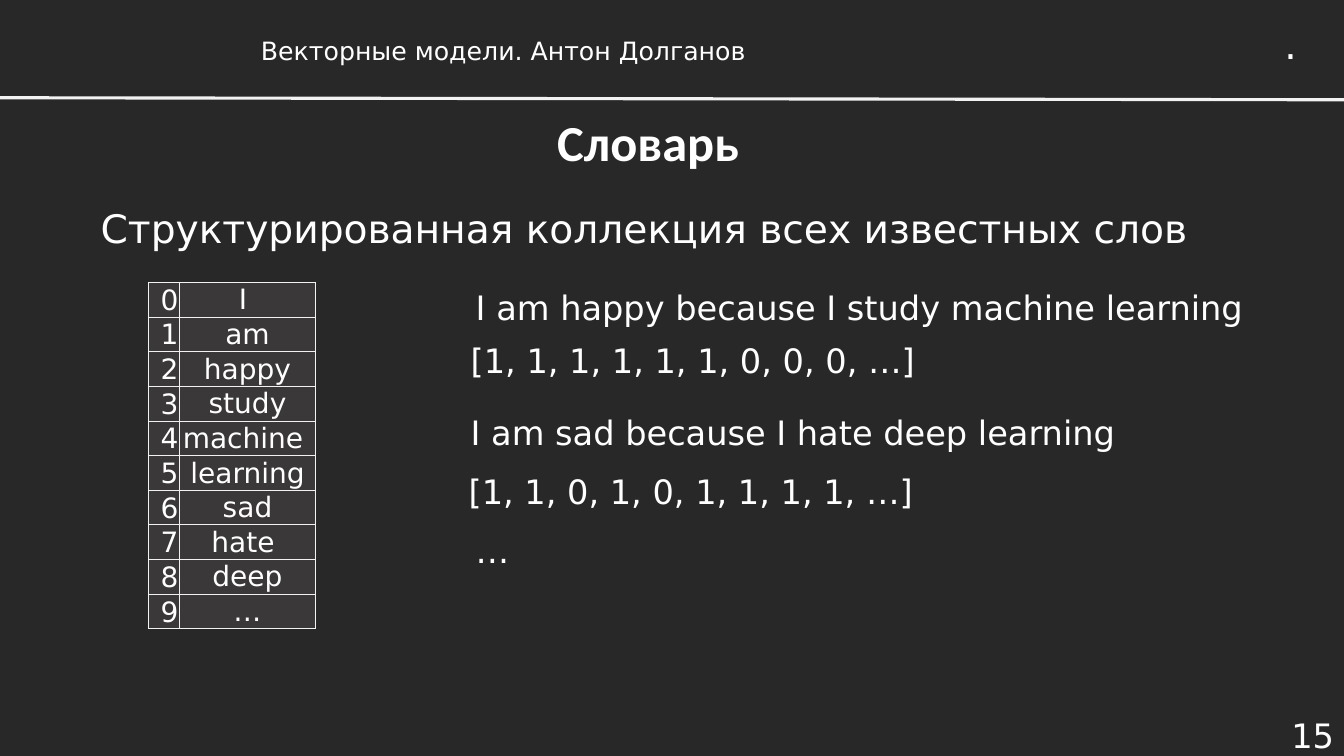
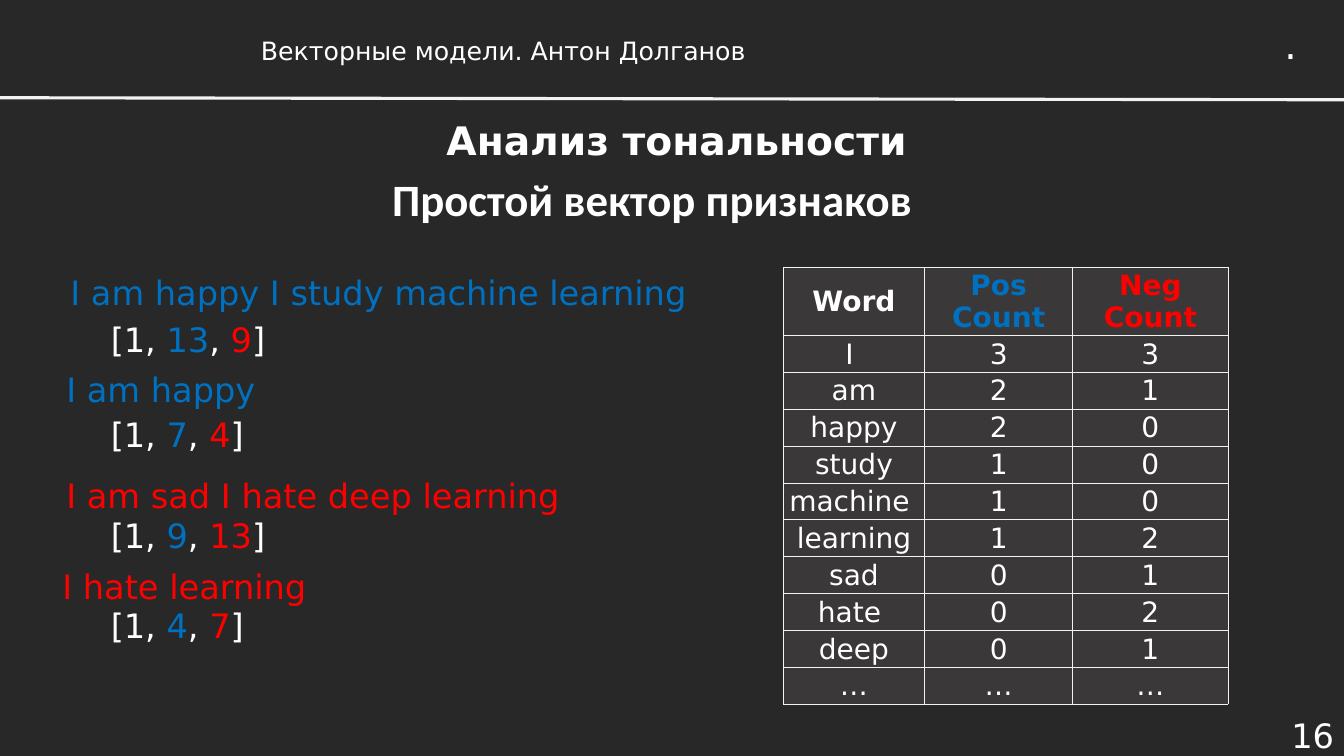
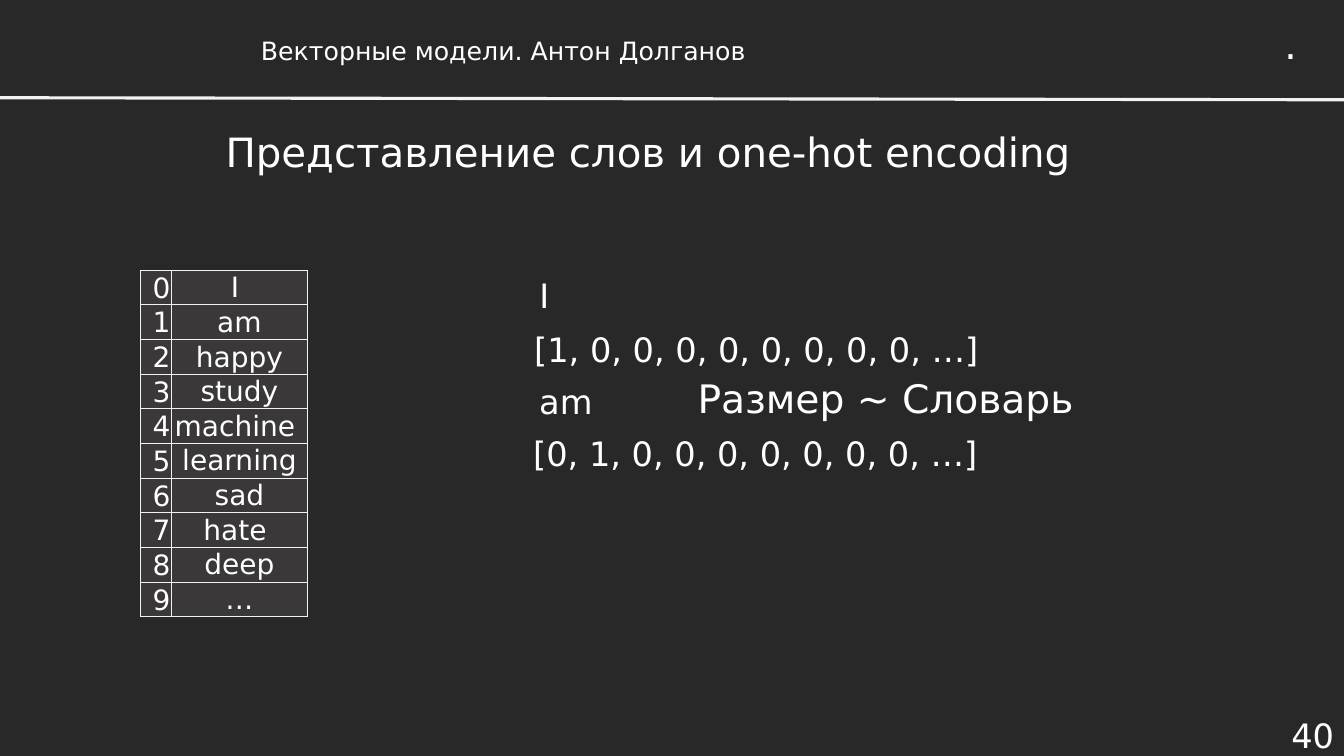
"""Builds three dark slides on vocabularies, sentiment features and one-hot encoding."""
from lxml import etree
from pptx import Presentation
from pptx.dml.color import RGBColor
from pptx.enum.shapes import MSO_CONNECTOR
from pptx.enum.text import MSO_ANCHOR, MSO_AUTO_SIZE, PP_ALIGN
from pptx.oxml.ns import qn
from pptx.util import Inches, Pt

STRAIGHT = MSO_CONNECTOR.STRAIGHT
LEFT, CENTER, RIGHT = PP_ALIGN.LEFT, PP_ALIGN.CENTER, PP_ALIGN.RIGHT
TOP, MIDDLE, BOTTOM = MSO_ANCHOR.TOP, MSO_ANCHOR.MIDDLE, MSO_ANCHOR.BOTTOM
FIT, FIXED = MSO_AUTO_SIZE.SHAPE_TO_FIT_TEXT, MSO_AUTO_SIZE.NONE

BACKGROUND, CELL, RULE = "272827", "3A3838", "F2F2F2"
WHITE, BLUE, RED = "FFFFFF", "0070C0", "FF0000"
BODY_FONT, TITLE_FONT = "DejaVu Sans", "Calibri"
HEADER = "Векторные модели. Антон Долганов"

WORDS = ["I ", "am", "happy", "study", "machine ", "learning", "sad", "hate ", "deep", "…"]
POSITIVE = [3, 2, 2, 1, 1, 1, 0, 0, 0, "…"]
NEGATIVE = [3, 1, 0, 0, 0, 2, 1, 2, 1, "…"]
COUNT_COLUMNS = [("Word", WHITE), ("Pos\nCount", BLUE), ("Neg\nCount", RED)]

VOCABULARY_LINES = [
    (4.62, 2.8, 8.52, "I am happy because I study machine learning"),
    (4.57, 3.32, 8.52, "[1, 1, 1, 1, 1, 1, 0, 0, 0, …]"),
    (4.57, 4.04, 8.11, "I am sad because I hate deep learning"),
    (4.55, 4.62, 8.52, "[1, 1, 0, 1, 0, 1, 1, 1, 1, …]"),
    (4.62, 5.21, 1.02, "…"),
]
SENTIMENT_LINES = [
    (0.6, 2.65, 6.85, "I am happy I study machine learning", BLUE, 3.11, 13, 9),
    (0.56, 3.61, 2.48, "I am happy", BLUE, 4.06, 7, 4),
    (0.56, 4.66, 8.11, "I am sad I hate deep learning", RED, 5.06, 9, 13),
    (0.52, 5.57, 2.99, "I hate learning", RED, 5.95, 4, 7),
]
ONE_HOT_LINES = [
    (5.25, 2.68, 8.52, "I"),
    (5.2, 3.21, 5.28, "[1, 0, 0, 0, 0, 0, 0, 0, 0, …]"),
    (5.25, 3.73, 1.77, "am"),
    (5.19, 4.25, 5.28, "[0, 1, 0, 0, 0, 0, 0, 0, 0, …]"),
]


def rgb(value):
    """Turns a hex string into a colour."""
    return RGBColor.from_string(value)


def style(para, size, color=WHITE, bold=False, align=LEFT, font=BODY_FONT):
    """Formats a whole paragraph."""
    para.alignment = align
    para.font.name, para.font.size, para.font.bold = font, Pt(size), bold
    para.font.color.rgb = rgb(color)


def add_text(page, at, text, size=24, color=WHITE, bold=False, align=LEFT,
             anchor=TOP, wrap=True, fit=FIT):
    """Adds a text box; text is a string or a list of (text, colour) spans."""
    box = page.shapes.add_textbox(*map(Inches, at))
    frame = box.text_frame
    frame.word_wrap, frame.auto_size, frame.vertical_anchor = wrap, fit, anchor
    para = frame.paragraphs[0]
    style(para, size, color, bold, align)
    if isinstance(text, str):
        para.add_run().text = text
        return
    for words, span_color in text:
        span = para.add_run()
        span.text = words
        span.font.color.rgb = rgb(span_color)


def add_page(deck, number, title, at, size, font=TITLE_FONT, bold=True):
    """Adds a slide with its title, header, rule and page number."""
    page = deck.slides.add_slide(deck.slide_layouts[5])
    heading = page.shapes.title
    heading.left, heading.top, heading.width, heading.height = map(Inches, at)
    frame = heading.text_frame
    frame.text = title
    frame.auto_size, frame.vertical_anchor = FIXED, MIDDLE
    style(frame.paragraphs[0], size, WHITE, bold, CENTER, font)
    add_text(page, (12.28, 7.08, 1.05, 0.42), str(number), align=RIGHT, anchor=MIDDLE, fit=FIXED)
    rule = page.shapes.add_connector(STRAIGHT, *map(Inches, (0, 0.97, 13.33, 0.99)))
    rule.line.color.rgb, rule.line.width = rgb(RULE), Pt(2.25)
    etree.SubElement(rule._element.spPr, qn("a:effectLst"))
    add_text(page, (12.64, 0.15, 0.34, 0.57), ".", 28, wrap=False)
    add_text(page, (2.49, 0.3, 8.27, 0.4), HEADER, 18)
    return page


def format_cell(cell, text, color=WHITE, bold=False, align=CENTER, anchor=MIDDLE):
    """Fills one table cell with text, borders and colour."""
    cell.margin_left = cell.margin_right = cell.margin_top = Inches(0.01)
    cell.margin_bottom = 0
    cell.vertical_anchor = anchor
    cell.text = str(text)
    for para in cell.text_frame.paragraphs:
        style(para, 20, color, bold, align)
    properties = cell._tc.get_or_add_tcPr()
    for side in ("a:lnL", "a:lnR", "a:lnT", "a:lnB"):
        border = etree.SubElement(properties, qn(side), w=str(Pt(0.5)))
        fill = etree.SubElement(border, qn("a:solidFill"))
        etree.SubElement(fill, qn("a:srgbClr"), val=RULE)
    cell.fill.solid()
    cell.fill.fore_color.rgb = rgb(CELL)


def add_grid(page, left, top, widths, heights):
    """Adds an unstyled table with the given column widths and row heights."""
    frame = page.shapes.add_table(len(heights), len(widths), Inches(left), Inches(top),
                                  Inches(sum(widths)), Inches(sum(heights)))
    table = frame.table
    table.first_row = table.horz_banding = False
    for column, width in zip(table.columns, widths):
        column.width = Inches(width)
    for row, height in zip(table.rows, heights):
        row.height = Inches(height)
    return table


def add_vocabulary(page, left, top):
    """Adds the numbered word list."""
    table = add_grid(page, left, top, [0.31, 1.35], [3.42 / len(WORDS)] * len(WORDS))
    for index, word in enumerate(WORDS):
        format_cell(table.cell(index, 0), index, align=RIGHT, anchor=BOTTOM)
        format_cell(table.cell(index, 1), word)


def add_counts(page):
    """Adds the table of word counts per class."""
    header, total = 0.67, 4.33
    heights = [header] + [(total - header) / len(WORDS)] * len(WORDS)
    table = add_grid(page, 7.77, 2.65, [1.4, 1.47, 1.54], heights)
    for column, (label, color) in enumerate(COUNT_COLUMNS):
        format_cell(table.cell(0, column), label, color, bold=True)
    for row, values in enumerate(zip(WORDS, POSITIVE, NEGATIVE), 1):
        for column, value in enumerate(values):
            format_cell(table.cell(row, column), value)


def add_lines(page, lines):
    """Adds white one-line text boxes."""
    for left, top, width, text in lines:
        add_text(page, (left, top, width, 0.5), text)


def main():
    """Builds and saves the deck."""
    deck = Presentation()
    deck.slide_width, deck.slide_height = Inches(13.33), Inches(7.5)
    background = deck.slide_master.background.fill
    background.solid()
    background.fore_color.rgb = rgb(BACKGROUND)

    page = add_page(deck, 15, "Словарь", (2.1, 0.95, 8.66, 0.91), 36)
    add_text(page, (0.9, 1.98, 12.23, 0.57), "Структурированная коллекция всех известных слов", 28)
    add_vocabulary(page, 1.47, 2.8)
    add_lines(page, VOCABULARY_LINES)

    page = add_page(deck, 16, "Простой вектор признаков", (2.65, 1.52, 7.64, 0.91), 32)
    add_text(page, (4.33, 1.1, 5.12, 0.57), "Анализ тональности", 28, bold=True)
    add_counts(page)
    for left, top, width, text, color, vector_top, positive, negative in SENTIMENT_LINES:
        add_text(page, (left, top, width, 0.5), text, color=color)
        add_text(page, (1, vector_top, 2.05, 0.5), [
            ("[1, ", WHITE), (str(positive), BLUE), (", ", WHITE),
            (str(negative), RED), ("]", WHITE)])

    page = add_page(deck, 40, "Представление слов и one-hot encoding",
                    (2.1, 1.05, 8.66, 0.91), 28.8, BODY_FONT, False)
    add_vocabulary(page, 1.39, 2.68)
    add_lines(page, ONE_HOT_LINES)
    add_text(page, (6.82, 3.66, 4.06, 0.57), "Размер ~ Словарь", 28, wrap=False)

    deck.save("out.pptx")


if __name__ == "__main__":
    main()
